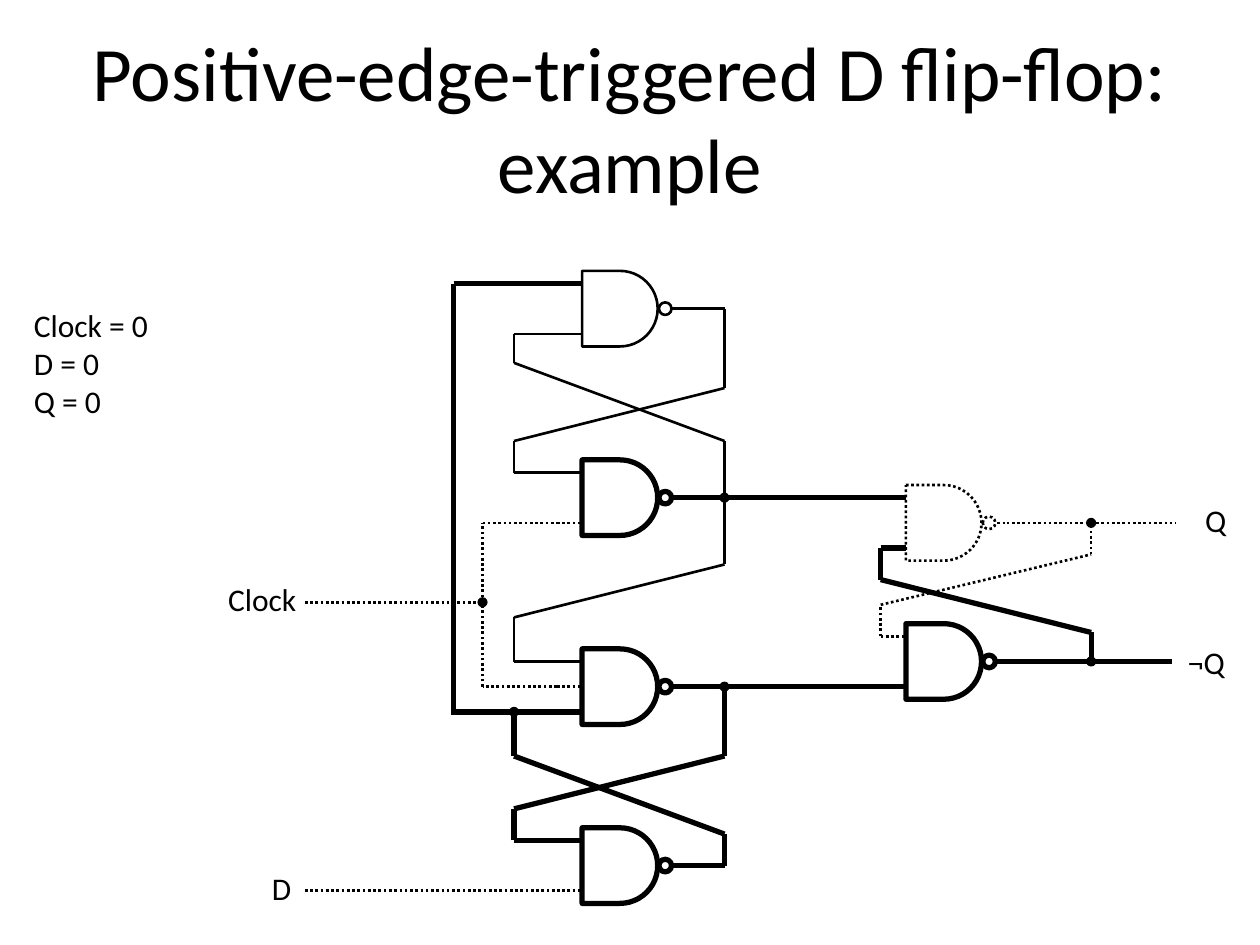
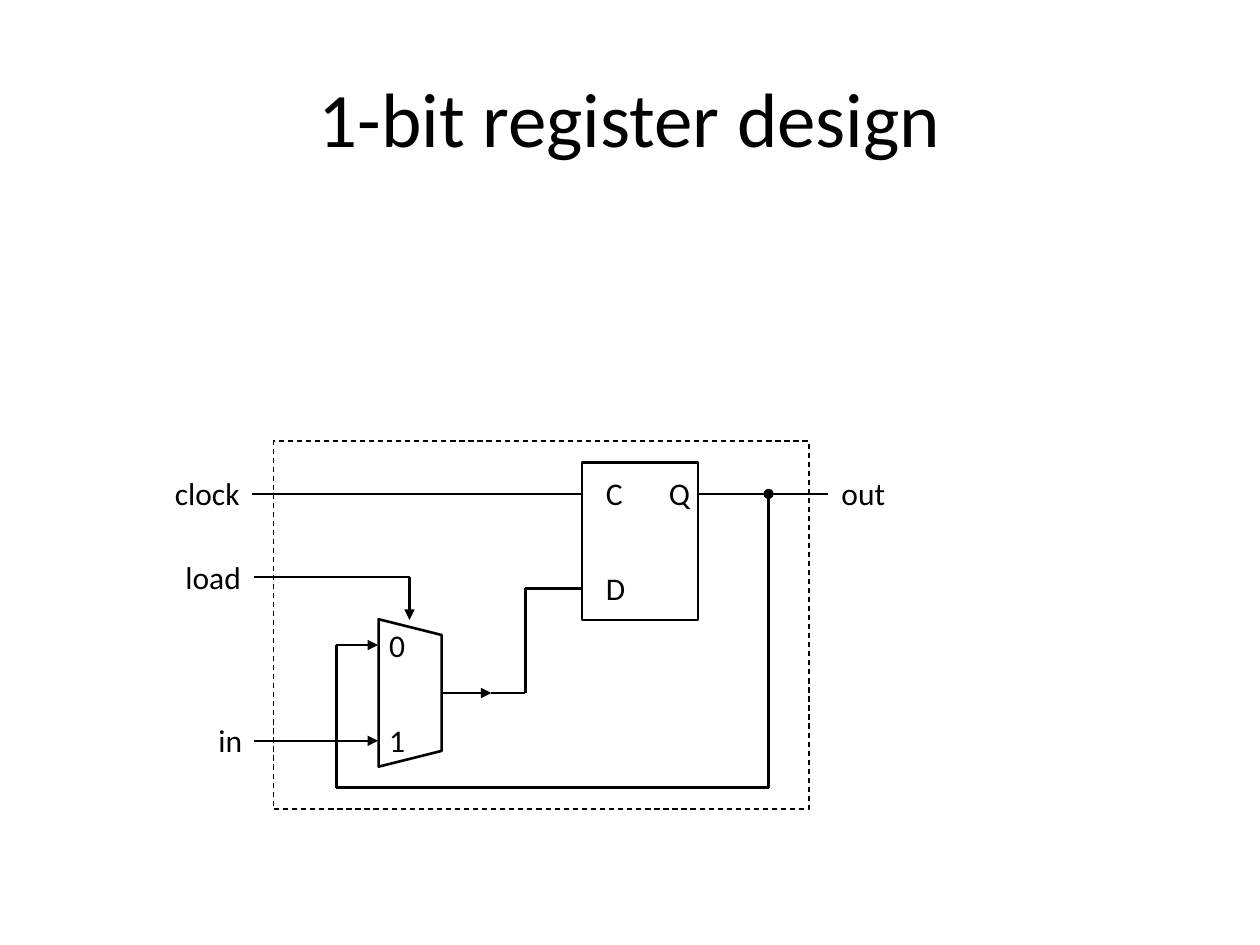
from dataclasses import dataclass
from itertools import pairwise
from typing import Any

from lxml.etree import SubElement
from pptx import Presentation
from pptx.dml.color import RGBColor
from pptx.enum.dml import MSO_LINE
from pptx.enum.shapes import MSO_CONNECTOR, MSO_SHAPE
from pptx.enum.text import MSO_ANCHOR, PP_ALIGN
from pptx.oxml.ns import qn
from pptx.util import Inches, Pt

COLORS = {"ink": "000000", "paper": "FFFFFF"}
FONT = "Calibri"
LABEL_SIZE, TITLE_SIZE = 18, 44
DOT_SIZE = 0.07
HIGH = (3, None)
PLAIN = (1.5, None)
LOW = (1.5, MSO_LINE.ROUND_DOT)
FRAME = (0.75, MSO_LINE.DASH)
DOT = (0.75, None)
LEFT, CENTER, RIGHT = PP_ALIGN.LEFT, PP_ALIGN.CENTER, PP_ALIGN.RIGHT


def color(name):
    return RGBColor.from_string(COLORS[name])


def set_line(line, style):
    weight, dash = style
    line.color.rgb = color("ink")
    line.width = Pt(weight)
    if dash is not None:
        line.dash_style = dash


@dataclass
class Region:
    shapes: Any
    left: float = 0
    top: float = 0

    def place(self, x, y):
        return Inches(self.left + x), Inches(self.top + y)

    def group(self, x, y):
        return Region(self.shapes.add_group_shape().shapes, self.left + x, self.top + y)

    def wire(self, points, style=PLAIN, arrow=False):
        for start, end in pairwise(points):
            segment = self.shapes.add_connector(
                MSO_CONNECTOR.STRAIGHT, *self.place(*start), *self.place(*end))
            set_line(segment.line, style)
            SubElement(segment._element.spPr, qn("a:effectLst"))
        if arrow:
            SubElement(segment.line._get_or_add_ln(), qn("a:tailEnd"), type="triangle")

    def outline(self, kind, x, y, width, height, style=PLAIN, fill=None):
        part = self.shapes.add_shape(
            kind, *self.place(x, y), Inches(width), Inches(height))
        part.shadow.inherit = False
        if fill:
            part.fill.solid()
            part.fill.fore_color.rgb = color(fill)
        else:
            part.fill.background()
        set_line(part.line, style)
        return part

    def dot(self, x, y):
        self.outline(MSO_SHAPE.OVAL, x - DOT_SIZE / 2, y - DOT_SIZE / 2,
                     DOT_SIZE, DOT_SIZE, DOT, "ink")

    def label(self, lines, x, y, width, height, align=LEFT,
              anchor=MSO_ANCHOR.MIDDLE, size=LABEL_SIZE):
        frame = self.shapes.add_textbox(
            *self.place(x, y), Inches(width), Inches(height)).text_frame
        frame.word_wrap = True
        frame.vertical_anchor = anchor
        for index, line in enumerate(lines):
            paragraph = frame.add_paragraph() if index else frame.paragraphs[0]
            paragraph.alignment = align
            run = paragraph.add_run()
            run.text = line
            run.font.name = FONT
            run.font.size = Pt(size)
            run.font.color.rgb = color("ink")


def add_titled_slide(deck, title):
    slide = deck.slides.add_slide(deck.slide_layouts[6])
    Region(slide.shapes).label([title], 0.5, 0.3, 9, 1.25, CENTER, size=TITLE_SIZE)
    return slide


def add_nand(circuit, x, y, output, inputs):
    gate = circuit.group(x, y)
    gate.outline(MSO_SHAPE.FLOWCHART_DELAY, 0, 0, 0.6, 0.6, output)
    gate.wire([(0.6, 0.3), (0.8, 0.3)], output)
    for offset, signal in inputs.items():
        gate.wire([(-0.2, offset), (0, offset)], signal)
    gate.outline(MSO_SHAPE.OVAL, 0.61, 0.25, 0.1, 0.1, output, "paper")


def add_flip_flop_circuit(slide, left, top):
    circuit = Region(slide.shapes, left, top)
    latch_x, output_x = 3.62, 6.19
    gates = [
        (latch_x, 3.15, HIGH, {0.1: PLAIN, 0.3: LOW, 0.5: HIGH}),
        (latch_x, 1.65, HIGH, {0.1: PLAIN, 0.5: LOW}),
        (latch_x, 0.15, PLAIN, {0.1: HIGH, 0.5: PLAIN}),
        (latch_x, 4.57, HIGH, {0.1: HIGH, 0.5: LOW}),
        (output_x, 2.95, HIGH, {0.1: LOW, 0.5: HIGH}),
        (output_x, 1.85, LOW, {0.1: HIGH, 0.5: HIGH}),
    ]
    for gate in gates:
        add_nand(circuit, *gate)

    gate_in, gate_out = latch_x - 0.2, latch_x + 0.8
    near, far = 3.08, 4.75
    clock_x, feedback_x = 2.83, 2.6
    q_in, q_out, q_node = output_x - 0.2, output_x + 0.8, 7.66
    wires = {
        HIGH: [
            [(gate_in, 4.67), (near, 4.67), (near, 4.42), (far, 4), (far, 3.45)],
            [(gate_out, 3.45), (q_in, 3.45)],
            [(gate_out, 4.87), (far, 4.87), (far, 4.62), (near, 4), (near, 3.65)],
            [(feedback_x - 0.02, 3.65), (gate_in, 3.65)],
            [(feedback_x, 3.65), (feedback_x, 0.25), (gate_in, 0.25)],
            [(gate_out, 1.95), (q_in, 1.95)],
            [(q_in, 2.35), (q_in, 2.6), (q_node, 3.02), (q_node, 3.25)],
            [(q_out, 3.25), (q_node, 3.25), (8.3, 3.25)],
        ],
        PLAIN: [
            [(gate_in, 1.75), (near, 1.75), (near, 1.5), (far, 1.08),
             (far, 0.45), (gate_out, 0.45)],
            [(gate_in, 3.25), (near, 3.25), (near, 2.9), (far, 2.48), (far, 1.5),
             (near, 0.88), (near, 0.65), (gate_in, 0.65)],
        ],
        LOW: [
            [(gate_in, 3.45), (clock_x, 3.45), (clock_x, 2.15), (gate_in, 2.15)],
            [(1.42, 2.78), (clock_x, 2.78)],
            [(q_in, 3.05), (q_in, 2.8), (q_node, 2.4), (q_node, 2.15)],
            [(q_out, 2.15), (7.7, 2.15), (8.33, 2.15)],
            [(1.42, 5.07), (gate_in, 5.07)],
        ],
    }
    for signal, routes in wires.items():
        for route in routes:
            circuit.wire(route, signal)

    for node in [(clock_x, 2.78), (near, 3.65), (far, 3.45), (far, 1.95),
                 (q_node, 2.15), (q_node, 3.25)]:
        circuit.dot(*node)

    circuit.label(["D"], 0.97, 4.8, 0.44, 0.5, RIGHT)
    circuit.label(["Clock"], 0.17, 2.5, 1.28, 0.5, RIGHT)
    circuit.label(["Q"], 8.39, 1.88, 0.44, 0.5, RIGHT)
    circuit.label(["¬Q"], 8.33, 3, 0.5, 0.5)


def add_signal_values(slide, left, top):
    Region(slide.shapes, left, top).label(
        ["Clock = 0", "D = 0", "Q = 0"], 0, 0, 2.61, 1.27, anchor=MSO_ANCHOR.TOP)


def add_flip_flop_block(register, x, y):
    block = register.group(x, y)
    block.outline(MSO_SHAPE.RECTANGLE, 0, 0, 0.92, 1.25)
    for pin, pin_x, pin_y in [("D", 0.09, 0.83), ("C", 0.09, 0.08), ("Q", 0.59, 0.08)]:
        block.label([pin], pin_x, pin_y, 0.25, 0.33, CENTER)
    for start, pin_y in [(-0.24, 0.25), (-0.24, 1), (0.92, 0.25)]:
        block.wire([(start, pin_y), (start + 0.24, pin_y)])


def add_register(slide, left, top):
    register = Region(slide.shapes, left, top)
    clock_y, load_y, keep_y, mux_y, in_y = 0.42, 1.08, 1.62, 2, 2.38
    add_flip_flop_block(register, 3.62, 0.17)
    multiplexer = register.outline(MSO_SHAPE.TRAPEZOID, 1.67, 1.75, 1.17, 0.5)
    multiplexer.rotation = 90

    out_x, bottom_y = 5.1, 2.75
    register.wire([(2.5, mux_y), (2.9, mux_y)], arrow=True)
    register.wire([(2.9, mux_y), (3.17, mux_y), (3.17, 1.17), (3.38, 1.17)])
    register.wire([(1.02, in_y), (2, in_y)], arrow=True)
    register.wire([(1.02, load_y), (2.25, load_y), (2.25, 1.42)], arrow=True)
    register.wire([(1, clock_y), (3.38, clock_y)])
    register.wire([(4.78, clock_y), (5.57, clock_y)])
    register.wire([(out_x, clock_y), (out_x, bottom_y), (1.67, bottom_y),
                   (1.67, keep_y), (2, keep_y)], arrow=True)
    register.dot(out_x, clock_y)

    for text, x, y, width, align in [
        ("in", 0.5, in_y, 0.52, RIGHT),
        ("load", 0.34, load_y, 0.67, RIGHT),
        ("clock", 0.25, clock_y, 0.75, RIGHT),
        ("out", 5.58, clock_y, 0.75, LEFT),
        ("0", 1.99, keep_y, 0.25, CENTER),
        ("1", 1.99, in_y, 0.25, CENTER),
    ]:
        register.label([text], x, y - 0.13, width, 0.25, align)
    register.outline(MSO_SHAPE.RECTANGLE, 1.17, 0, 4.25, 2.92, FRAME)


deck = Presentation()
deck.slide_width, deck.slide_height = Inches(10), Inches(7.5)

example = add_titled_slide(deck, "Positive-edge-triggered D flip-flop: example")
add_flip_flop_circuit(example, 1, 2)
add_signal_values(example, 0.17, 2.38)

design = add_titled_slide(deck, "1-bit register design")
add_register(design, 1, 3.5)

deck.save("out.pptx")
